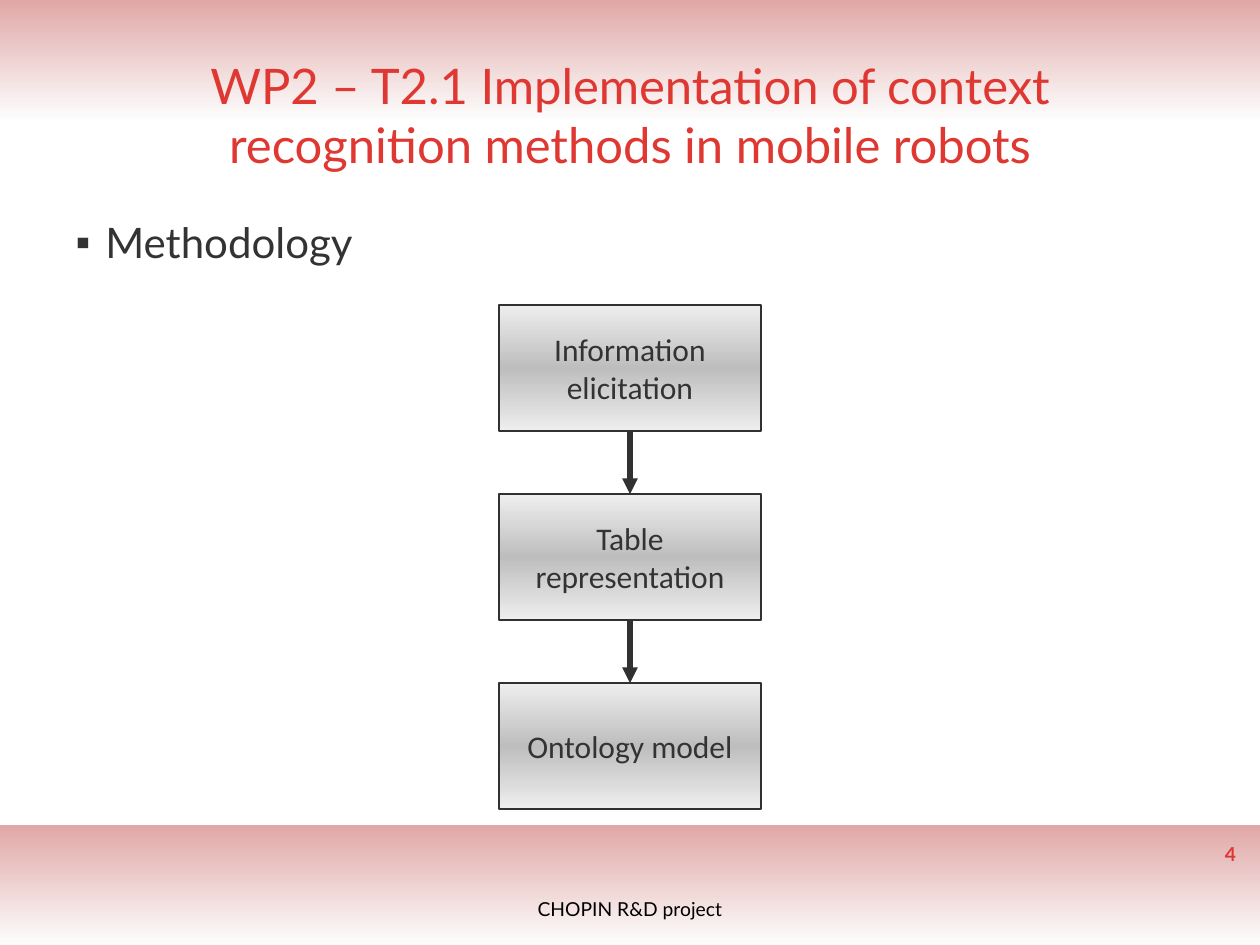
"""Builds the methodology slide: three steps joined by arrows."""
import pptx
import pptx.util
import pptx.dml.color
import pptx.enum.shapes
import pptx.enum.text
import pptx.oxml.ns
import lxml.etree

Cm = pptx.util.Cm
Pt = pptx.util.Pt
qn = pptx.oxml.ns.qn
ALIGN = pptx.enum.text.PP_ALIGN
ANCHOR = pptx.enum.text.MSO_ANCHOR
RECTANGLE = pptx.enum.shapes.MSO_SHAPE.RECTANGLE
STRAIGHT = pptx.enum.shapes.MSO_CONNECTOR.STRAIGHT

COLOURS = {
    "red": "DF3832", "text": "333333", "black": "000000", "line": "313131",
    "pale": "FDFDFD", "pink": "E0A8A7", "light": "EEEEEE", "grey": "BEBEBE",
}
WIDTH, HEIGHT = 25.4, 19.05


class SlideBuilder:
    """Holds the style and the current slide."""

    def __init__(self, deck):
        self.font = "Lato"
        self.box_font = "Calibri"
        self.page = deck.slides.add_slide(deck.slide_layouts[1])

    def colour(self, name):
        return pptx.dml.color.RGBColor.from_string(COLOURS[name])

    def place(self, shape, left, top, width, height):
        shape.left, shape.top = Cm(left), Cm(top)
        shape.width, shape.height = Cm(width), Cm(height)

    def add_text(self, shape, text, size, colour, align, anchor=ANCHOR.MIDDLE, font=None, bold=False):
        frame = shape.text_frame
        frame.word_wrap = True
        frame.auto_size = pptx.enum.text.MSO_AUTO_SIZE.NONE
        frame.vertical_anchor = anchor
        para = frame.paragraphs[0]
        para.alignment = align
        para.space_before = Pt(0)
        span = para.add_run()
        span.text = text
        span.font.name = font or self.font
        span.font.size = Pt(size)
        span.font.bold = bold
        span.font.color.rgb = self.colour(colour)
        return para

    def gradient_box(self, left, top, width, height, names):
        box = self.page.shapes.add_shape(RECTANGLE, Cm(left), Cm(top), Cm(width), Cm(height))
        box.shadow.inherit = False
        box.fill.gradient()
        box.fill.gradient_angle = 90
        stops = box.element.spPr.find(".//" + qn("a:gsLst"))
        stops.clear()
        for index, name in enumerate(names):
            position = 100000 * index // (len(names) - 1)
            stop = lxml.etree.SubElement(stops, qn("a:gs"), pos=str(position))
            lxml.etree.SubElement(stop, qn("a:srgbClr"), val=COLOURS[name])
        return box

    def band(self, top):
        band = self.gradient_box(0, top, WIDTH, 2.41, ["pale", "pink"])
        band.line.fill.background()
        self.page.shapes.element.insert(2, band.element)

    def title(self, text):
        title = self.page.shapes.title
        self.place(title, 2.54, 1.27, 20.32, 2.06)
        self.add_text(title, text, 28, "red", ALIGN.CENTER)

    def bullet(self, text):
        body = self.page.placeholders[1]
        self.place(body, 1.27, 4.24, 22.86, 13.54)
        para = self.add_text(body, text, 24, "text", ALIGN.LEFT, ANCHOR.TOP)
        properties = para._p.get_or_add_pPr()
        indent = Cm(0.6)
        properties.set("marL", str(indent))
        properties.set("indent", str(-indent))
        lxml.etree.SubElement(properties, qn("a:buChar"), char="▪")

    def label(self, text, left, top, width, colour, align, bold=False):
        box = self.page.shapes.add_textbox(Cm(left), Cm(top), Cm(width), Cm(0.69))
        self.add_text(box, text, 11, colour, align, bold=bold)

    def step(self, text, left, top, width, height):
        box = self.gradient_box(left, top, width, height, ["light", "grey", "light"])
        box.line.color.rgb = self.colour("line")
        box.line.width = Pt(0.75)
        self.add_text(box, text, 18, "text", ALIGN.CENTER, font=self.box_font)

    def arrow(self, x, top, bottom):
        arrow = self.page.shapes.add_connector(STRAIGHT, Cm(x), Cm(top), Cm(x), Cm(bottom))
        arrow.line.color.rgb = self.colour("line")
        arrow.line.width = Pt(3)
        outline = arrow.element.spPr.find(qn("a:ln"))
        lxml.etree.SubElement(outline, qn("a:tailEnd"), type="triangle")
        lxml.etree.SubElement(arrow.element.spPr, qn("a:effectLst"))


def main():
    deck = pptx.Presentation()
    deck.slide_width, deck.slide_height = Cm(WIDTH), Cm(HEIGHT)
    builder = SlideBuilder(deck)

    for top in (0, 16.64):
        builder.band(top)
    builder.title("WP2 – T2.1 Implementation of context recognition methods in mobile robots")
    builder.bullet("Methodology")
    builder.label("CHOPIN R&D project", 6.45, 17.98, 12.5, "black", ALIGN.CENTER)
    builder.label("4", 23.06, 16.87, 2.11, "red", ALIGN.RIGHT, bold=True)

    steps = ["Information elicitation", "Table representation", "Ontology model"]
    first, width, height, gap = 6.15, 5.28, 2.54, 1.27
    tops = [first + index * (height + gap) for index in range(len(steps))]
    for text, top in zip(steps, tops):
        builder.step(text, (WIDTH - width) / 2, top, width, height)
    for top in tops[1:]:
        builder.arrow(WIDTH / 2, top - gap, top)

    deck.save("out.pptx")


if __name__ == "__main__":
    main()
